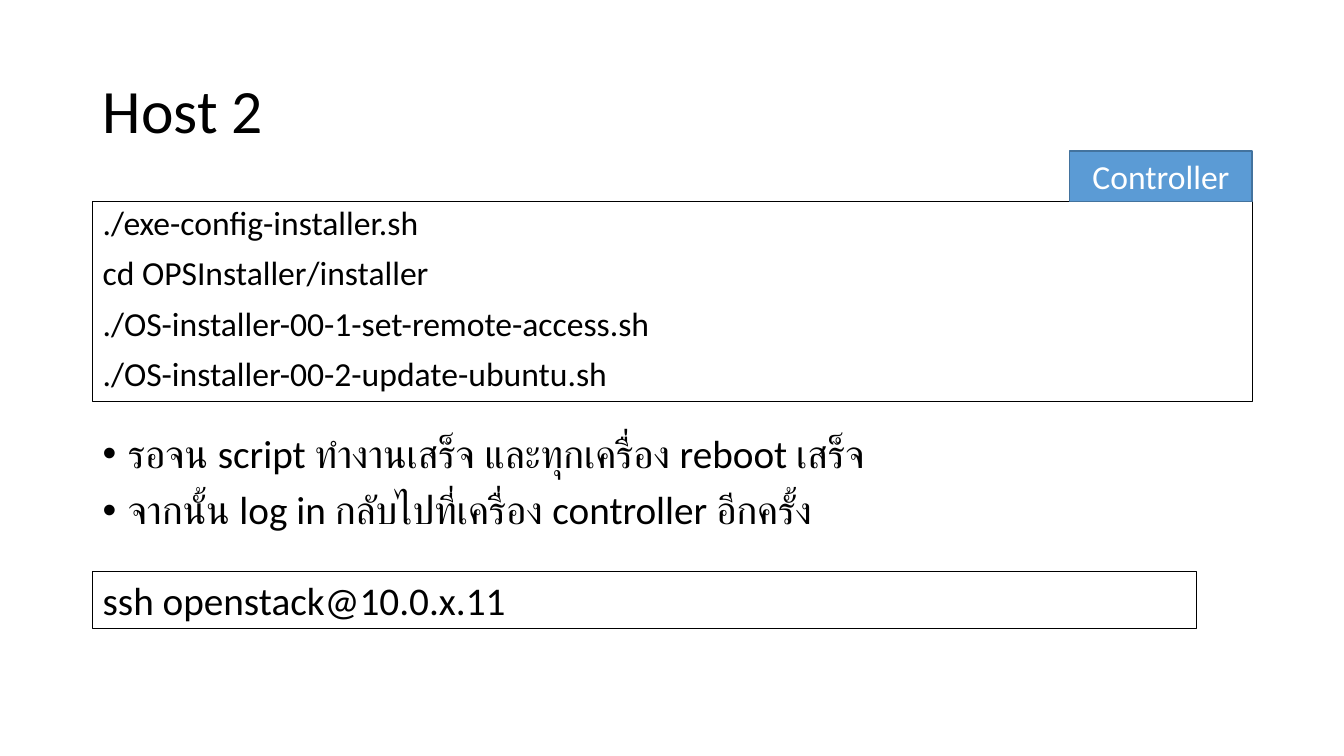
from dataclasses import dataclass

from lxml import etree
from pptx import Presentation
from pptx.dml.color import RGBColor
from pptx.enum.shapes import MSO_SHAPE
from pptx.enum.text import MSO_ANCHOR, MSO_AUTO_SIZE, PP_ALIGN
from pptx.oxml.ns import qn
from pptx.util import Inches, Pt

RECTANGLE = MSO_SHAPE.RECTANGLE
TOP, MIDDLE = MSO_ANCHOR.TOP, MSO_ANCHOR.MIDDLE
LEFT, CENTER = PP_ALIGN.LEFT, PP_ALIGN.CENTER
NO_FIT, GROW = MSO_AUTO_SIZE.NONE, MSO_AUTO_SIZE.SHAPE_TO_FIT_TEXT


@dataclass(frozen=True)
class Theme:
    font: str = "Calibri"
    ink: RGBColor = RGBColor(0x00, 0x00, 0x00)
    white: RGBColor = RGBColor(0xFF, 0xFF, 0xFF)
    accent: RGBColor = RGBColor(0x5B, 0x9B, 0xD5)
    accent_line: RGBColor = RGBColor(0x43, 0x73, 0x9E)
    title: Pt = Pt(44)
    body: Pt = Pt(28)
    code: Pt = Pt(24)
    gap: Pt = Pt(10)


THEME = Theme()
MARGIN, CONTENT_WIDTH = 0.92, 11.5


def write(frame, lines, size, color=THEME.ink, align=LEFT, spacing=0.9, bullet=False):
    """Fill a text frame with one paragraph per line."""
    frame.word_wrap = True
    for index, line in enumerate(lines):
        paragraph = frame.add_paragraph() if index else frame.paragraphs[0]
        paragraph.text = line
        paragraph.alignment = align
        paragraph.line_spacing = spacing
        if index:
            paragraph.space_before = THEME.gap
        if bullet:
            properties = paragraph._p.get_or_add_pPr()
            properties.set("marL", str(Inches(0.25)))
            properties.set("indent", str(-Inches(0.25)))
            etree.SubElement(properties, qn("a:buFont"), typeface="Arial")
            etree.SubElement(properties, qn("a:buChar"), char="•")
        paragraph.font.name = THEME.font
        paragraph.font.size = size
        paragraph.font.color.rgb = color


def add_box(left, top, width, height, line_color, line_width):
    """Add a rectangle without shadow."""
    box = slide.shapes.add_shape(
        RECTANGLE, Inches(left), Inches(top), Inches(width), Inches(height))
    box.shadow.inherit = False
    box.line.color.rgb = line_color
    box.line.width = Pt(line_width)
    return box


prs = Presentation()
prs.slide_width, prs.slide_height = Inches(13.33), Inches(7.5)
slide = prs.slides.add_slide(prs.slide_layouts[5])

# Title
title = slide.shapes.title
title.left, title.top = Inches(MARGIN), Inches(0.4)
title.width, title.height = Inches(CONTENT_WIDTH), Inches(1.45)
title.text_frame.auto_size = NO_FIT
title.text_frame.vertical_anchor = MIDDLE
write(title.text_frame, ["Host 2"], THEME.title)

# Instructions
instructions = slide.shapes.add_textbox(
    Inches(MARGIN), Inches(4.26), Inches(CONTENT_WIDTH), Inches(1.25))
write(instructions.text_frame, [
    "รอจน script ทำงานเสร็จ และทุกเครื่อง reboot เสร็จ",
    "จากนั้น log in กลับไปที่เครื่อง controller อีกครั้ง",
], THEME.body, bullet=True)

# Command boxes: top, width, height, text size, line spacing, commands
command_boxes = [
    (2, CONTENT_WIDTH, 1.98, THEME.code, 0.9, [
        "./exe-config-installer.sh",
        "cd OPSInstaller/installer",
        "./OS-installer-00-1-set-remote-access.sh",
        "./OS-installer-00-2-update-ubuntu.sh",
    ]),
    (5.67, 10.95, 0.57, THEME.body, 1.0, ["ssh openstack@10.0.x.11"]),
]
for top, width, height, size, spacing, commands in command_boxes:
    command_box = add_box(MARGIN, top, width, height, THEME.ink, 0.75)
    command_box.fill.background()
    command_box.text_frame.vertical_anchor = TOP
    command_box.text_frame.auto_size = GROW
    write(command_box.text_frame, commands, size, spacing=spacing)

# Host label, flush with the top right corner of the first command box
controller = add_box(10.61, 1.5, 1.81, 0.5, THEME.accent_line, 1)
controller.fill.solid()
controller.fill.fore_color.rgb = THEME.accent
controller.text_frame.vertical_anchor = MIDDLE
write(controller.text_frame, ["Controller"], THEME.code, THEME.white, CENTER, 1.0)

prs.save("out.pptx")
